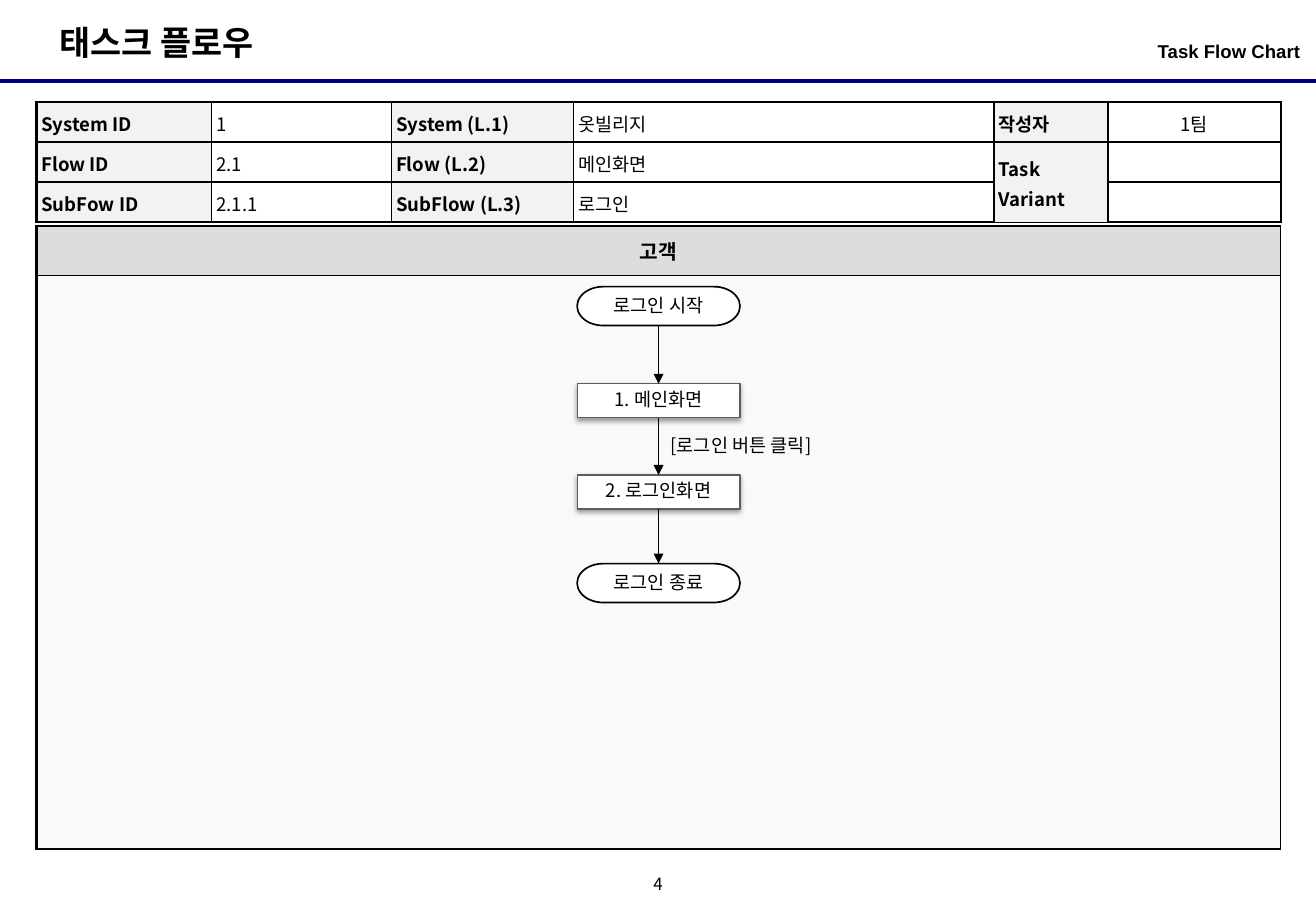
from lxml import etree
from pptx import Presentation
from pptx.dml.color import RGBColor
from pptx.enum import shapes, text
from pptx.oxml.ns import qn
from pptx.util import Inches, Pt

TITLE = "태스크 플로우"
SUBTITLE = "Task Flow Chart"
PAGE_NUMBER = "4"
LANE = "고객"
CLICK_LABEL = "[로그인 버튼 클릭]"
INFO_ROWS = [
    ["System ID", "1", "System (L.1)", "옷빌리지", "작성자", "1팀"],
    ["Flow ID", "2.1", "Flow (L.2)", "메인화면", "Task Variant", ""],
    ["SubFow ID", "2.1.1", "SubFlow (L.3)", "로그인", "", ""],
]
INFO_WIDTHS = [1.44, 1.48, 1.5, 3.46, 0.94, 1.42]
STEPS = [  # text, is an end point, top
    ("로그인 시작", True, 2.36),
    ("1. 메인화면", False, 3.16),
    ("2. 로그인화면", False, 3.91),
    ("로그인 종료", True, 4.64),
]

BLACK = RGBColor(0, 0, 0)
WHITE = RGBColor(255, 255, 255)
NAVY = RGBColor(0, 0, 0x80)
GRAY_LINE = RGBColor(0x5D, 0x5D, 0x5D)
LABEL_FILL = RGBColor(0xF2, 0xF2, 0xF2)
HEADER_FILL = RGBColor(0xDD, 0xDD, 0xDD)
LANE_FILL = RGBColor(0xF9, 0xF9, 0xF9)
KOREAN = "Noto Sans CJK KR"

WIDTH, HEIGHT = 10.83, 7.5
STEP_WIDTH, END_HEIGHT, STEP_HEIGHT = 1.34, 0.32, 0.28
CENTER = 5.42


def write(frame, words, size=11, bold=False, align=text.PP_ALIGN.LEFT,
          spacing=1.0, font=KOREAN):
    para = frame.paragraphs[0]
    para.alignment = align
    para.line_spacing = spacing
    if not words:
        etree.SubElement(para._p, qn("a:endParaRPr"), sz=str(size * 100))
        return
    span = para.add_run()
    span.text = words
    span.font.size = Pt(size)
    span.font.bold = bold
    span.font.name = font
    span.font.color.rgb = BLACK
    etree.SubElement(span._r.get_or_add_rPr(), qn("a:ea"), typeface=KOREAN)


def set_margins(target, side, top):
    target.margin_left = target.margin_right = Inches(side)
    target.margin_top = target.margin_bottom = Inches(top)


def add_text(slide, place, words, wrap=True, side=0.1, top=0.05, **style):
    box = slide.shapes.add_textbox(*map(Inches, place))
    box.text_frame.word_wrap = wrap
    set_margins(box.text_frame, side, top)
    write(box.text_frame, words, **style)
    return box


def add_grid(slide, left, top, widths, heights):
    frame = slide.shapes.add_table(len(heights), len(widths), Inches(left), Inches(top),
                                   Inches(sum(widths)), Inches(sum(heights)))
    table = frame.table
    table.first_row = table.horz_banding = False
    for column, width in zip(table.columns, widths):
        column.width = Inches(width)
    for row, height in zip(table.rows, heights):
        row.height = Inches(height)
    return table


def format_cell(cell, fill, left, right, top, bottom):
    """Border widths are in points; a fill of None leaves the cell clear."""
    properties = cell._tc.get_or_add_tcPr()
    for side, width in zip("LRTB", (left, right, top, bottom)):
        line = etree.SubElement(properties, qn("a:ln" + side), w=str(Pt(width)))
        solid = etree.SubElement(line, qn("a:solidFill"))
        etree.SubElement(solid, qn("a:srgbClr"), val=str(BLACK))
    if fill is None:
        cell.fill.background()
    else:
        cell.fill.solid()
        cell.fill.fore_color.rgb = fill


def add_info_table(slide):
    table = add_grid(slide, 0.3, 0.84, INFO_WIDTHS, [0.33] * len(INFO_ROWS))
    last_row, last_column = len(INFO_ROWS) - 1, len(INFO_WIDTHS) - 1
    for r, row in enumerate(INFO_ROWS):
        for c, words in enumerate(row):
            cell = table.cell(r, c)
            is_label = c % 2 == 0
            author = c >= 4
            set_margins(cell, 0.04, 0.04)
            if author:
                cell.vertical_anchor = text.MSO_ANCHOR.MIDDLE
            align = text.PP_ALIGN.CENTER if c == last_column else text.PP_ALIGN.LEFT
            write(cell.text_frame, words, bold=is_label, align=align, spacing=1.1)
            format_cell(cell, LABEL_FILL if is_label else None,
                        left=1.5 if c == 0 else 1,
                        right=1.5 if c == last_column else 1,
                        top=1.5 if r == 0 or (author and r == 1) else 1,
                        bottom=1.5 if r == last_row or (author and r == 0) else 1)
    table.cell(1, 4).merge(table.cell(2, 4))


def add_lane_table(slide):
    table = add_grid(slide, 0.3, 1.86, [sum(INFO_WIDTHS)], [0.41, 4.72])
    header, body = table.cell(0, 0), table.cell(1, 0)
    header.vertical_anchor = text.MSO_ANCHOR.MIDDLE
    write(header.text_frame, LANE, size=12, bold=True, align=text.PP_ALIGN.CENTER)
    format_cell(header, HEADER_FILL, 1.5, 0.75, 1.5, 0.75)
    format_cell(body, LANE_FILL, 1.5, 0.75, 0.75, 1.5)


def add_step(slide, words, is_end, top):
    kind = shapes.MSO_SHAPE.FLOWCHART_TERMINATOR if is_end else shapes.MSO_SHAPE.FLOWCHART_PROCESS
    step = slide.shapes.add_shape(
        kind, Inches(CENTER - STEP_WIDTH / 2), Inches(top), Inches(STEP_WIDTH),
        Inches(END_HEIGHT if is_end else STEP_HEIGHT))
    step.fill.solid()
    step.fill.fore_color.rgb = WHITE
    step.line.color.rgb = BLACK if is_end else GRAY_LINE
    step.line.width = Pt(1 if is_end else 0.75)
    step.shadow.inherit = False
    if not is_end:
        effects = step._element.spPr.find(qn("a:effectLst"))
        shadow = etree.SubElement(effects, qn("a:outerShdw"), blurRad=str(Pt(3.1)),
                                  dist=str(Pt(1.6)), dir="5400000", rotWithShape="0")
        color = etree.SubElement(shadow, qn("a:srgbClr"), val=str(BLACK))
        etree.SubElement(color, qn("a:alpha"), val="38000")
    frame = step.text_frame
    frame.word_wrap = True
    frame.vertical_anchor = text.MSO_ANCHOR.MIDDLE
    set_margins(frame, 0.02, 0)
    write(frame, words, align=text.PP_ALIGN.CENTER, spacing=0.9,
          font="Arial" if is_end else KOREAN)
    return step


def add_line(slide, start, end, color, width):
    line = slide.shapes.add_connector(shapes.MSO_CONNECTOR.STRAIGHT,
                                      *map(Inches, start + end))
    line.line.color.rgb = color
    line.line.width = Pt(width)
    etree.SubElement(line._element.spPr, qn("a:effectLst"))
    return line


def add_arrow(slide, upper, lower):
    arrow = add_line(slide, (0, 0), (0, 0), BLACK, 0.75)
    arrow.begin_connect(upper, 2)
    arrow.end_connect(lower, 0)
    etree.SubElement(arrow.line._get_or_add_ln(), qn("a:tailEnd"), type="triangle")


def main():
    deck = Presentation()
    deck.slide_width, deck.slide_height = Inches(WIDTH), Inches(HEIGHT)
    slide = deck.slides.add_slide(deck.slide_layouts[5])

    title = slide.shapes.title
    title.left, title.top, title.width, title.height = map(Inches, (0.39, 0.13, 1.98, 0.44))
    title.text_frame.word_wrap = False
    title.text_frame.vertical_anchor = text.MSO_ANCHOR.TOP
    write(title.text_frame, TITLE, size=20, bold=True)

    add_line(slide, (0, 0.67), (WIDTH, 0.67), NAVY, 2.25)
    add_text(slide, (7.39, 0.28, 3.31, 0.39), SUBTITLE, side=0, bold=True,
             align=text.PP_ALIGN.RIGHT, font="Arial")
    add_lane_table(slide)
    add_info_table(slide)

    steps = [add_step(slide, *step) for step in STEPS]
    for upper, lower in zip(steps, steps[1:]):
        add_arrow(slide, upper, lower)
    add_text(slide, (CENTER, 3.52, 1.5, 0.29), CLICK_LABEL)

    number = add_text(slide, (5.25, 7.17, 0.33, 0.25), PAGE_NUMBER, wrap=False, side=0, top=0,
                      size=10, align=text.PP_ALIGN.CENTER, spacing=0.8)
    number.text_frame.vertical_anchor = text.MSO_ANCHOR.MIDDLE
    deck.save("out.pptx")


if __name__ == "__main__":
    main()
